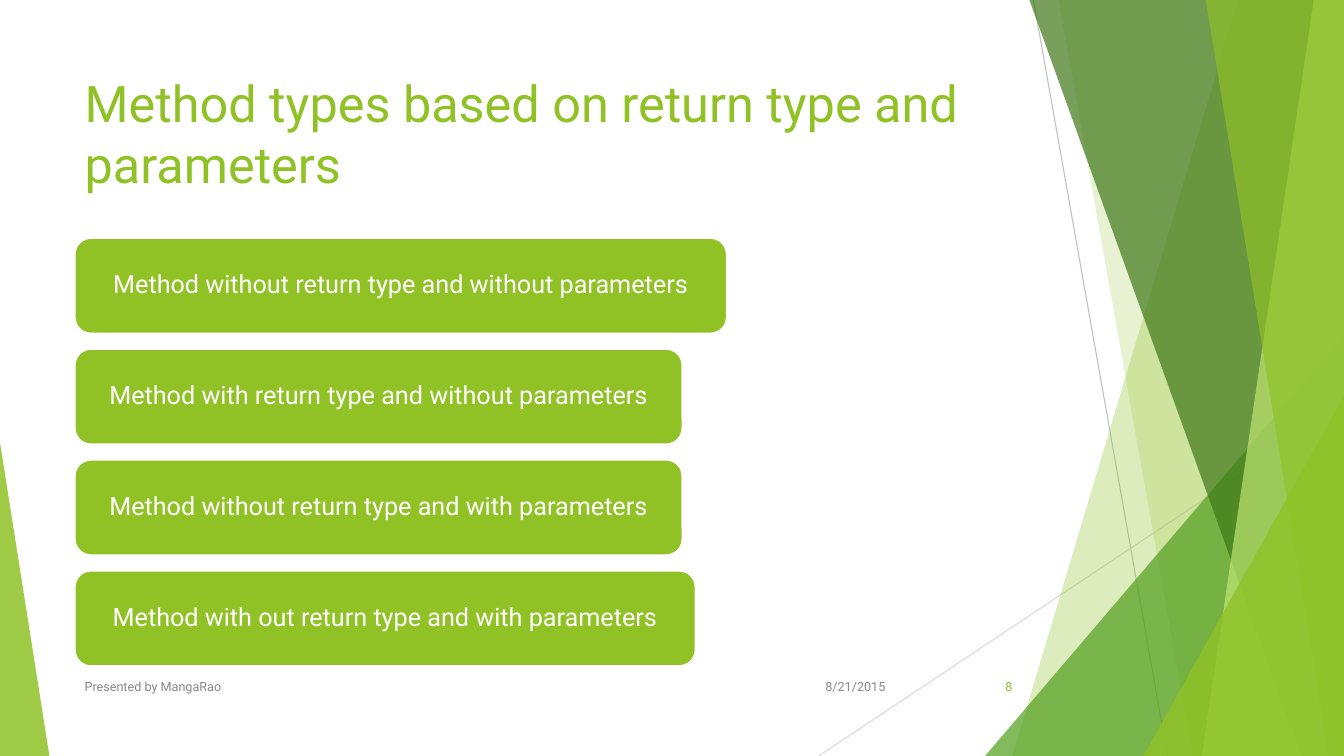
from dataclasses import dataclass

from lxml import etree
from pptx import Presentation
from pptx.dml.color import RGBColor
from pptx.enum.shapes import MSO_CONNECTOR, MSO_SHAPE
from pptx.enum.text import MSO_ANCHOR, MSO_AUTO_SIZE, PP_ALIGN
from pptx.oxml.ns import qn
from pptx.util import Inches, Pt

STRAIGHT = MSO_CONNECTOR.STRAIGHT
TRIANGLE = MSO_SHAPE.ISOSCELES_TRIANGLE
ROUNDED = MSO_SHAPE.ROUNDED_RECTANGLE
TOP, MIDDLE = MSO_ANCHOR.TOP, MSO_ANCHOR.MIDDLE
LEFT, CENTER, RIGHT = PP_ALIGN.LEFT, PP_ALIGN.CENTER, PP_ALIGN.RIGHT
NO_FIT = MSO_AUTO_SIZE.NONE

COLUMNS, ROWS = 13.33, 7.5
TITLE_ONLY = 5


@dataclass(frozen=True)
class Theme:
    font: str = "Roboto"
    lime: str = "90C226"
    green: str = "54A021"
    forest: str = "3F7818"
    pale: str = "BFE471"
    white: str = "FFFFFF"
    muted: str = "888888"
    dark_rule: str = "BFBFBF"
    light_rule: str = "D8D8D8"
    title_size: int = 36
    method_size: int = 18
    footer_size: int = 9
    rule_width: float = 0.75
    outline_width: float = 1.5


@dataclass(frozen=True)
class Box:
    left: float
    top: float
    width: float
    height: float

    @property
    def right(self):
        return self.left + self.width

    @property
    def bottom(self):
        return self.top + self.height

    def lengths(self):
        return [Inches(n) for n in (self.left, self.top, self.width, self.height)]


THEME = Theme()
PAGE = Box(0, 0, COLUMNS, ROWS)
TITLE = Box(0.74, 0.67, 9.4, 1.44)
METHODS = Box(0.74, 2.36, 6.47, 4.25)
FOOTER = Box(0.74, 6.61, 9.4, 0.4)


def apply(target, values):
    for name, value in values.items():
        setattr(target, name, value)


def write(frame, text, size, color, align=LEFT, anchor=MIDDLE, spacing=None):
    apply(frame, {
        "word_wrap": True, "auto_size": NO_FIT, "vertical_anchor": anchor,
        "margin_left": Inches(0.1), "margin_right": Inches(0.1),
        "margin_top": Inches(0.05), "margin_bottom": Inches(0.05),
    })
    frame.text = text
    paragraph = frame.paragraphs[0]
    apply(paragraph, {"alignment": align, "line_spacing": spacing})
    font = paragraph.runs[0].font
    apply(font, {"name": THEME.font, "size": Pt(size)})
    font.color.rgb = RGBColor.from_string(color)


def paint(shape, color, opacity=100):
    shape.shadow.inherit = False
    shape.fill.solid()
    shape.fill.fore_color.rgb = RGBColor.from_string(color)
    shape.line.fill.background()
    if opacity < 100:
        tint = shape.fill._xPr.find(qn("a:solidFill"))[0]
        etree.SubElement(tint, qn("a:alpha"), val=str(opacity * 1000))


def add_rule(slide, start, end, color):
    rule = slide.shapes.add_connector(
        STRAIGHT, *(Inches(n) for n in (*start, *end)))
    rule.line.color.rgb = RGBColor.from_string(color)
    rule.line.width = Pt(THEME.rule_width)
    etree.SubElement(rule._element.spPr, qn("a:effectLst"))


def add_shard(slide, box, top_reach, bottom_reach, color, opacity):
    corners = [
        (Inches(x), Inches(y)) for x, y in (
            (box.right - top_reach, box.top), (box.right, box.top),
            (box.right, box.bottom), (box.right - bottom_reach, box.bottom))
    ]
    outline = slide.shapes.build_freeform(*corners[0])
    outline.add_line_segments(corners[1:], close=True)
    paint(outline.convert_to_shape(), color, opacity)


def add_wedge(slide, box, apex, color, opacity):
    wedge = slide.shapes.add_shape(TRIANGLE, *box.lengths())
    wedge.adjustments[0] = apex
    paint(wedge, color, opacity)


def add_right_wedge(slide, box, width, height, color, opacity):
    corner = Box(box.right - width, box.bottom - height, width, height)
    add_wedge(slide, corner, 1, color, opacity)


def add_backdrop(slide, box):
    add_rule(slide, (box.right - 3.08, box.top),
             (box.right - 1.75, box.bottom), THEME.dark_rule)
    add_rule(slide, (box.right, box.bottom - 3.47),
             (box.right - 5.21, box.bottom), THEME.light_rule)
    facets = [
        (add_shard, 1.05, 3.29, THEME.lime, 30),
        (add_shard, 2.83, 1.5, THEME.lime, 20),
        (add_right_wedge, 3.56, 4.17, THEME.green, 72),
        (add_shard, 3.12, 0.42, THEME.forest, 70),
        (add_shard, 0.3, 1.41, THEME.pale, 70),
        (add_shard, 1.37, 0.15, THEME.lime, 65),
        (add_right_wedge, 1.99, 3.57, THEME.lime, 80),
    ]
    for draw, *facet in facets:
        draw(slide, box, *facet)
    left_corner = Box(box.left, box.bottom - 3.11, 0.49, 3.11)
    add_wedge(slide, left_corner, 0, THEME.lime, 85)


def add_title(slide, box):
    title = slide.shapes.title
    apply(title, dict(zip(("left", "top", "width", "height"), box.lengths())))
    write(title.text_frame, "Method types based on return type and parameters",
          THEME.title_size, THEME.lime, anchor=TOP)


def add_methods(slide, box):
    methods = [
        ("Method without return type and without parameters", 6.47),
        ("Method with return type and without parameters", 6.03),
        ("Method without return type and with parameters", 6.03),
        ("Method with out return type and with parameters", 6.16),
    ]
    gap = 0.15
    height = (box.height - gap * (len(methods) - 1)) / len(methods)
    for row, (text, width) in enumerate(methods):
        bar = Box(box.left, box.top + row * (height + gap), width, height)
        method = slide.shapes.add_shape(ROUNDED, *bar.lengths())
        method.adjustments[0] = 0.17
        paint(method, THEME.lime)
        method.line.color.rgb = RGBColor.from_string(THEME.white)
        method.line.width = Pt(THEME.outline_width)
        write(method.text_frame, text, THEME.method_size, THEME.white,
              CENTER, spacing=0.85)


def add_footer(slide, box):
    notes = [
        ("8/21/2015", 7.14, 1, THEME.muted, RIGHT),
        ("Presented by MangaRao", 0, 6.89, THEME.muted, LEFT),
        ("8", 8.65, 0.75, THEME.lime, RIGHT),
    ]
    for text, offset, width, color, align in notes:
        cell = Box(box.left + offset, box.top, width, box.height)
        note = slide.shapes.add_textbox(*cell.lengths())
        write(note.text_frame, text, THEME.footer_size, color, align)


def main():
    deck = Presentation()
    apply(deck, {"slide_width": Inches(COLUMNS), "slide_height": Inches(ROWS)})
    slide = deck.slides.add_slide(deck.slide_layouts[TITLE_ONLY])
    add_backdrop(slide, PAGE)
    add_title(slide, TITLE)
    add_methods(slide, METHODS)
    add_footer(slide, FOOTER)
    deck.save("out.pptx")


if __name__ == "__main__":
    main()
